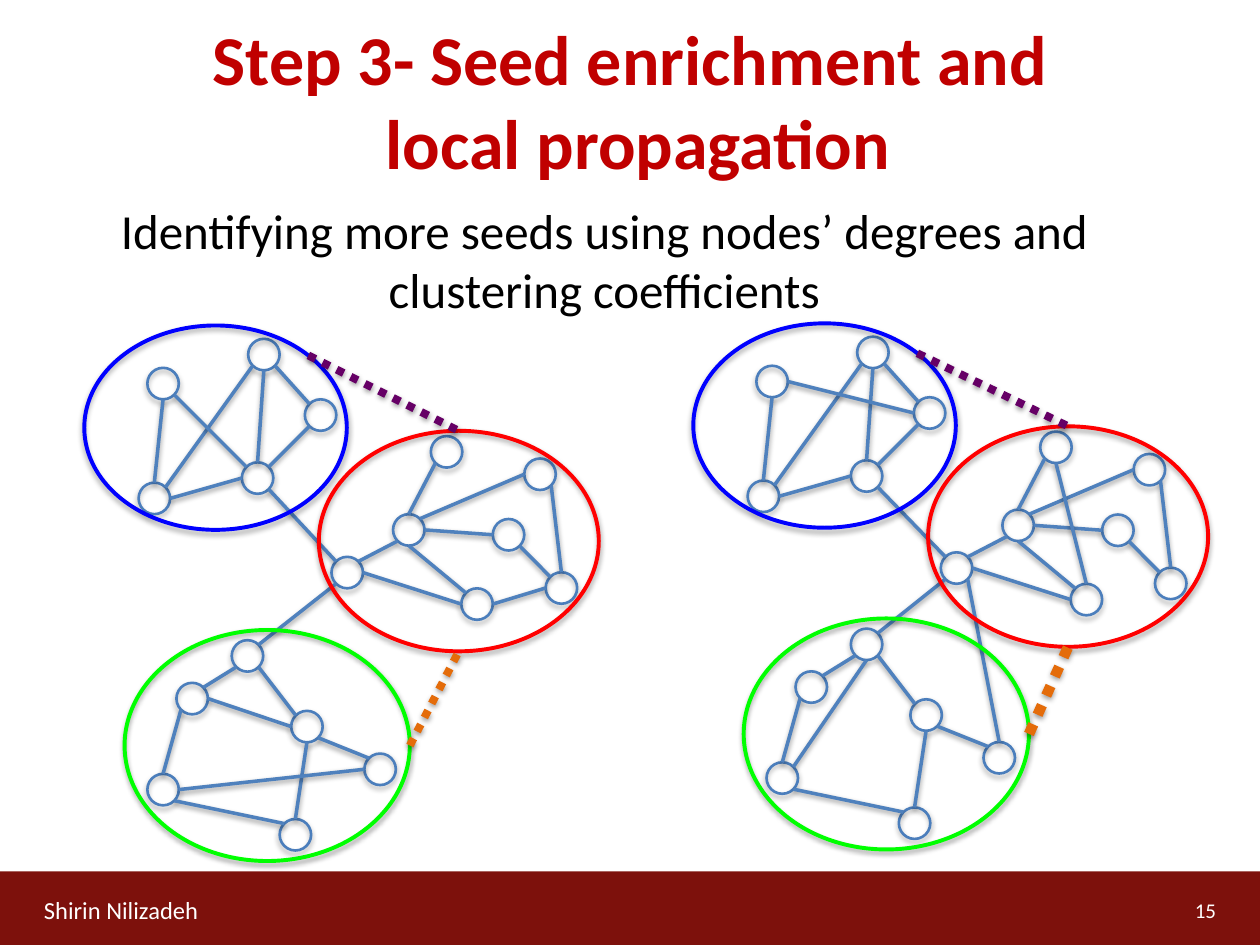
from lxml.etree import SubElement
from math import sqrt
from pptx import Presentation
from pptx.dml.color import RGBColor
from pptx.enum.dml import MSO_LINE
from pptx.enum.shapes import MSO_CONNECTOR, MSO_SHAPE
from pptx.enum.text import MSO_ANCHOR, PP_ALIGN
from pptx.oxml.ns import qn
from pptx.util import Pt

COLORS = {
    "title": "C00000", "body": "000000", "footer": "7D110C", "light": "FFFFFF",
    "node": "4B7EBC", "edge": "4F81BD", "blue": "0000FF", "red": "FF0000",
    "green": "00FF00", "purple": "660066", "orange": "E46C0A", "shadow": "000000",
}
NODE_SIZE = 18
DIAGONAL = sqrt(0.5)
SITES = {
    "n": (0, -1), "ne": (DIAGONAL, -DIAGONAL), "e": (1, 0), "se": (DIAGONAL, DIAGONAL),
    "s": (0, 1), "sw": (-DIAGONAL, DIAGONAL), "w": (-1, 0), "nw": (-DIAGONAL, -DIAGONAL),
}
COMMUNITIES = {
    "blue": (48.2, 186, 150, 116.8),
    "red": (182.2, 246.2, 160, 126),
    "green": (71.2, 360, 163, 132),
}
NODES = {
    "blue": {"west": (84.2, 210.2), "north": (141.8, 193.6), "east": (174.2, 228.2),
             "south": (138.2, 264.2), "low": (79.2, 275.8)},
    "red": {"hub": (189.4, 318.2), "core": (224.6, 293.8), "north": (246.2, 249.2),
            "corner": (299.6, 262), "middle": (281.6, 296.6), "low": (263.6, 336.2),
            "east": (311.8, 327)},
    "green": {"north": (132.4, 365.8), "west": (100.8, 390.2), "middle": (166.4, 406.2),
              "east": (208.2, 430.6), "south": (159.8, 468), "low": (84.2, 442.2)},
}
SHARED_EDGES = [
    "blue.east sw blue.south ne", "blue.low e blue.south w", "blue.north s blue.south n",
    "blue.north sw blue.low ne", "blue.north se blue.east nw", "blue.west s blue.low n",
    "green.west ne green.north sw", "green.north se green.middle nw",
    "green.low n green.west sw", "green.low se green.south nw",
    "green.middle se green.east nw", "green.middle s green.south n",
    "red.hub ne red.core sw", "red.core n red.north sw", "red.hub e red.low w",
    "red.corner w red.core ne", "red.core s red.low nw", "red.middle se red.east nw",
    "red.corner se red.east n", "red.core e red.middle w",
    "blue.south se red.hub nw", "green.north ne red.hub sw",
]
LEFT_EDGES = [
    "blue.west se blue.south nw", "green.west e green.middle w",
    "green.low e green.east w", "red.east w red.low e",
]
RIGHT_EDGES = [
    "blue.west e blue.east w", "green.north s green.low ne",
    "red.north s red.low n", "red.hub se green.east n",
]
NO_SHIFT = dict.fromkeys(COMMUNITIES, (0, 0))
RIGHT_SHIFT = {"blue": (348, -1.2), "red": (348.2, -2.6), "green": (353.8, -6.6)}


class SlideBuilder:
    font = "Calibri"

    def __init__(self, page):
        self.page = page

    def color(self, name):
        return RGBColor.from_string(COLORS[name])

    def shadow(self, effects, opacity, distance):
        shadow = SubElement(effects, qn("a:outerShdw"), blurRad=str(Pt(3.1)),
                            dist=str(Pt(distance)), dir="5400000", rotWithShape="0")
        tint = SubElement(shadow, qn("a:srgbClr"), val=COLORS["shadow"])
        SubElement(tint, qn("a:alpha"), val=str(opacity * 1000))

    def bar(self, bounds, color):
        bar = self.page.shapes.add_shape(MSO_SHAPE.RECTANGLE, *map(Pt, bounds))
        bar.shadow.inherit = False
        bar.fill.solid()
        bar.fill.fore_color.rgb = self.color(color)
        bar.line.fill.background()

    def text(self, bounds, wording, size, color, align=PP_ALIGN.LEFT,
             anchor=MSO_ANCHOR.MIDDLE, bold=False):
        box = self.page.shapes.add_textbox(*map(Pt, bounds))
        frame = box.text_frame
        frame.word_wrap = True
        frame.vertical_anchor = anchor
        paragraph = frame.paragraphs[0]
        paragraph.text = wording
        paragraph.alignment = align
        paragraph.font.name = self.font
        paragraph.font.size = Pt(size)
        paragraph.font.bold = bold
        paragraph.font.color.rgb = self.color(color)

    def ring(self, bounds, color, width):
        ring = self.page.shapes.add_shape(MSO_SHAPE.OVAL, *map(Pt, bounds))
        ring.fill.background()
        ring.line.color.rgb = self.color(color)
        ring.line.width = Pt(width)
        ring.shadow.inherit = False
        self.shadow(ring._element.spPr.find(qn("a:effectLst")), 35, 1.8)

    def link(self, start, end, color, width, dash=None):
        link = self.page.shapes.add_connector(MSO_CONNECTOR.STRAIGHT, *map(Pt, start + end))
        link.line.color.rgb = self.color(color)
        link.line.width = Pt(width)
        if dash:
            link.line.dash_style = dash
        self.shadow(SubElement(link._element.spPr, qn("a:effectLst")), 38, 1.6)

    def network(self, shift, extra_edges, orange_width):
        places = {}
        for group, (dx, dy) in shift.items():
            left, top, width, height = COMMUNITIES[group]
            places[group] = (left + dx, top + dy, width, height)
            for name, (x, y) in NODES[group].items():
                place = (x + dx, y + dy, NODE_SIZE, NODE_SIZE)
                places[f"{group}.{name}"] = place
                self.ring(place, "node", 1.5)

        def connect(route, color, width, dash=None):
            first, leaving, second, arriving = route.split()
            self.link(site_point(places[first], leaving),
                      site_point(places[second], arriving), color, width, dash)

        for route in SHARED_EDGES + extra_edges:
            connect(route, "edge", 2)
        for group in COMMUNITIES:
            self.ring(places[group], group, 2.25)
        connect("blue ne red n", "purple", 4.5, MSO_LINE.ROUND_DOT)
        connect("green e red s", "orange", orange_width, MSO_LINE.ROUND_DOT)


def site_point(bounds, site):
    left, top, width, height = bounds
    across, down = SITES[site]
    return left + width * (1 + across) / 2, top + height * (1 + down) / 2


def main():
    deck = Presentation()
    deck.slide_width, deck.slide_height = Pt(720), Pt(540)
    builder = SlideBuilder(deck.slides.add_slide(deck.slide_layouts[6]))
    builder.bar((0, 498, 720, 42), "footer")
    builder.text((18, 505.5, 126, 29), "Shirin Nilizadeh", 14, "light")
    builder.text((534, 505.5, 168, 29), "15", 12, "light", PP_ALIGN.RIGHT)
    builder.text((18, 12, 684, 90), "Step 3- Seed enrichment and\n local propagation",
                 40, "title", PP_ALIGN.CENTER, bold=True)
    builder.network(NO_SHIFT, LEFT_EDGES, 4.5)
    builder.network(RIGHT_SHIFT, RIGHT_EDGES, 6)
    builder.text((36, 111, 618.5, 75),
                 "Identifying more seeds using nodes’ degrees and clustering coefficients",
                 28, "body", PP_ALIGN.CENTER, MSO_ANCHOR.TOP)
    deck.save("out.pptx")


if __name__ == "__main__":
    main()
